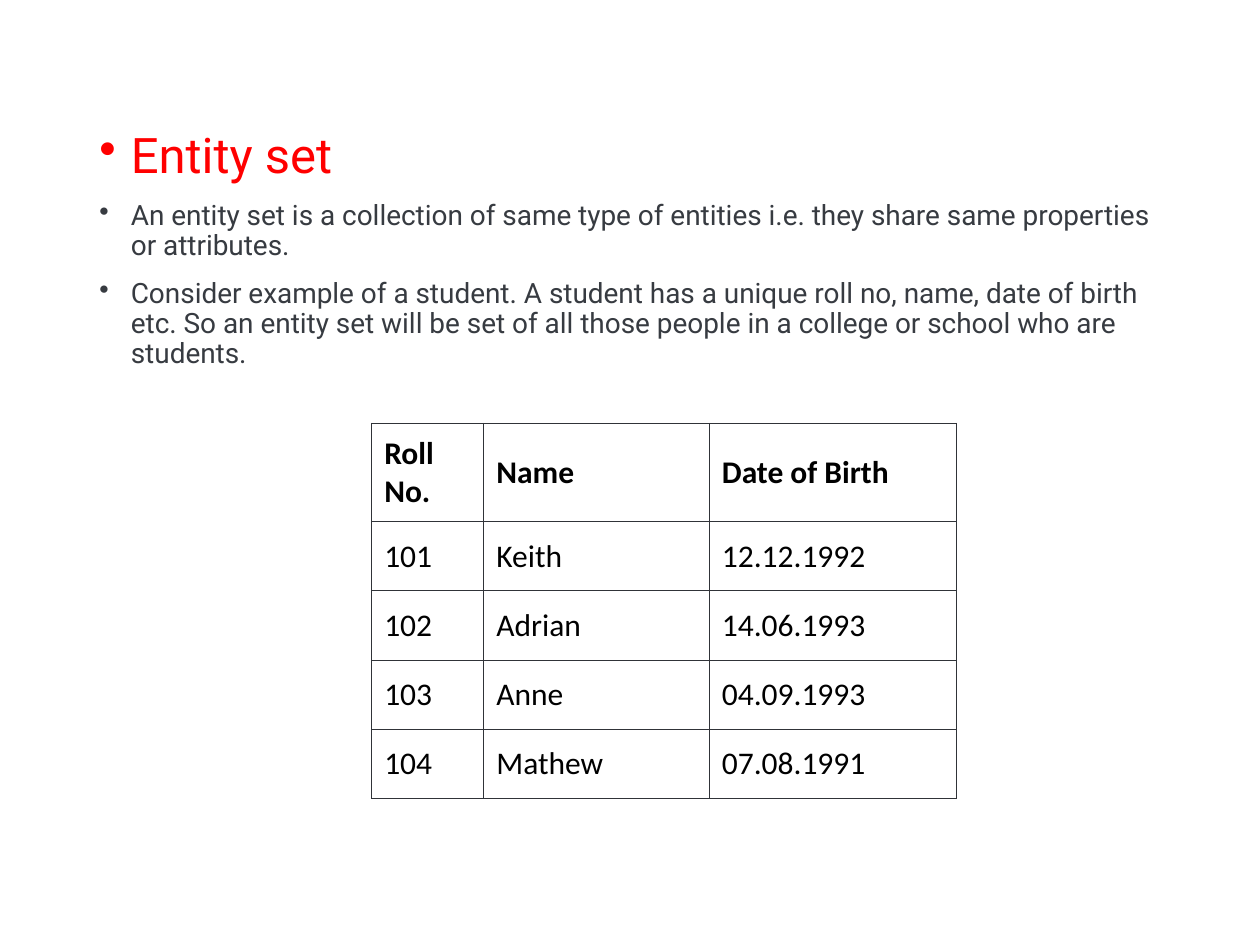
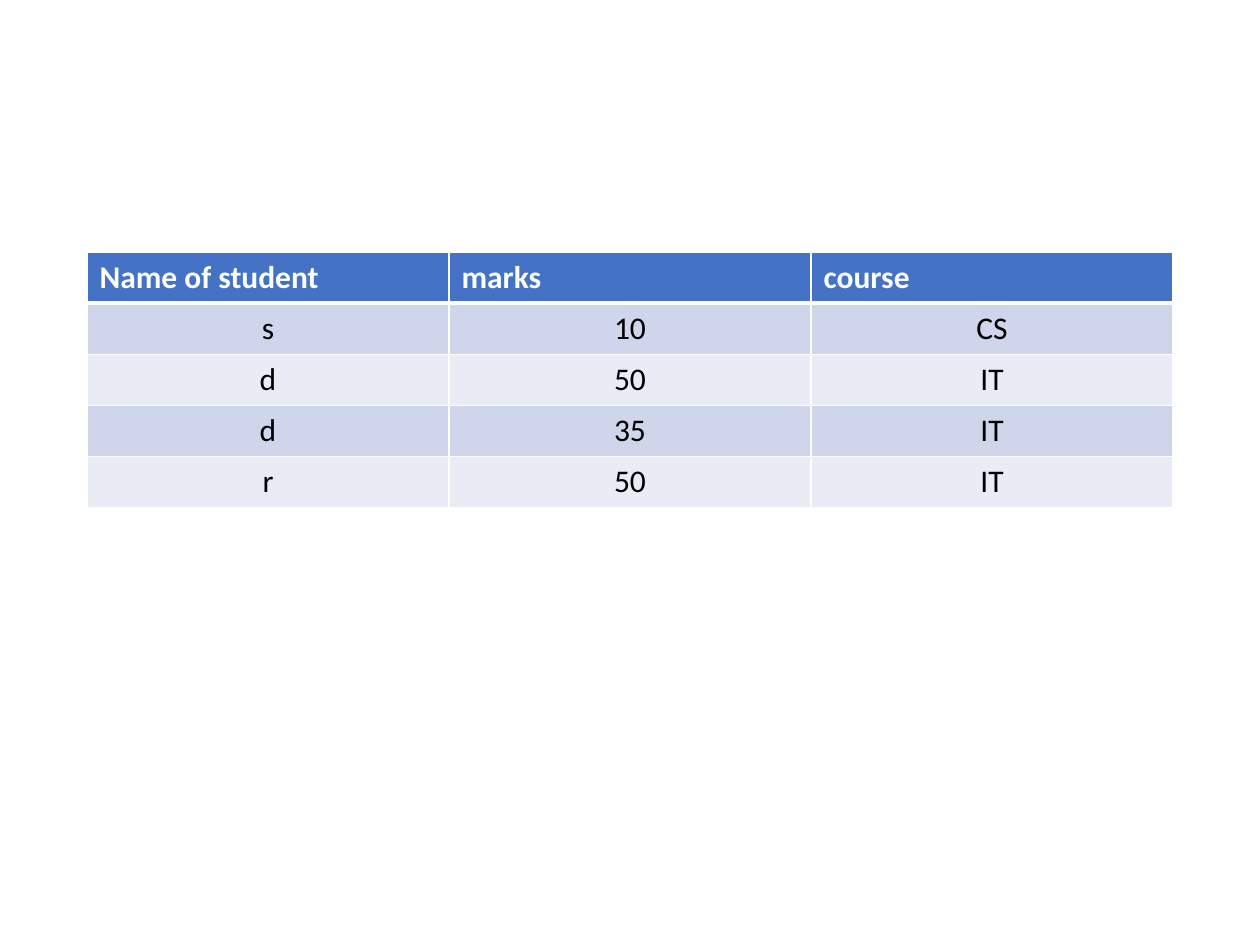
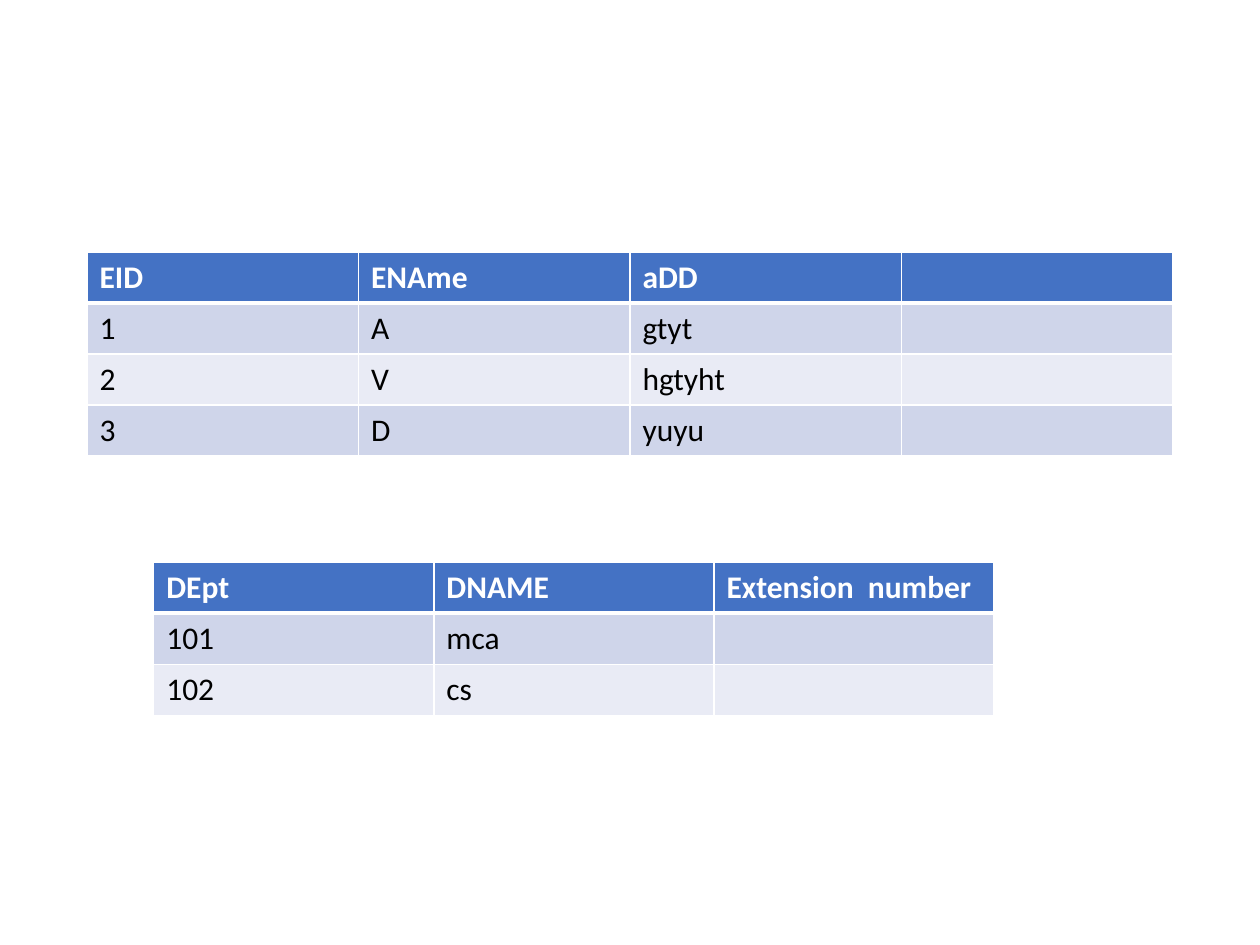
from dataclasses import dataclass

from lxml import etree
from pptx import Presentation
from pptx.dml.color import RGBColor
from pptx.enum import text
from pptx.oxml import ns
from pptx.util import Inches, Pt


@dataclass(frozen=True)
class Theme:
    heading: str = "FF0000"
    body: str = "373B41"
    ink: str = "000000"
    white: str = "FFFFFF"
    header: str = "4472C4"
    bands: tuple = ("CFD5EA", "E9EBF5")
    grid: str = "303338"
    body_font: str = "Roboto"
    table_font: str = "Calibri"
    heading_size: int = 28
    body_size: int = 16
    table_size: int = 18
    grid_width: float = 0.6
    rule_width: float = 1
    header_rule: float = 3


THEME = Theme()


@dataclass(frozen=True)
class TableStyle:
    line: str
    line_width: float
    header_rule: float
    header_ink: str
    header_fill: str | None = None
    bands: tuple = (None,)
    anchor: text.MSO_ANCHOR = text.MSO_ANCHOR.TOP
    align: text.PP_ALIGN = text.PP_ALIGN.LEFT


BANDED = dict(line=THEME.white, line_width=THEME.rule_width, header_rule=THEME.header_rule,
              header_ink=THEME.white, header_fill=THEME.header, bands=THEME.bands)
BANDED_LEFT = TableStyle(**BANDED)
BANDED_CENTER = TableStyle(**BANDED, align=text.PP_ALIGN.CENTER)
GRID = TableStyle(THEME.grid, THEME.grid_width, THEME.grid_width, THEME.ink,
                  anchor=text.MSO_ANCHOR.MIDDLE)


def add_span(para, words, color, **formats):
    span = para.add_run()
    span.text = words
    span.font.color.rgb = RGBColor.from_string(color)
    for name, value in formats.items():
        setattr(span.font, name, value)


def add_bullet(para, indent):
    props = para._p.get_or_add_pPr()
    props.set("marL", str(indent))
    props.set("indent", str(-indent))
    etree.SubElement(props, ns.qn("a:buChar"), char="•")


def add_bullets(page, box, heading, points):
    frame = page.shapes.add_textbox(*map(Inches, box)).text_frame
    frame.word_wrap = True
    lines = [(heading, THEME.heading, THEME.heading_size)]
    lines += [(point, THEME.body, THEME.body_size) for point in points]
    for index, (words, color, size) in enumerate(lines):
        para = frame.add_paragraph() if index else frame.paragraphs[0]
        add_bullet(para, Inches(0.25))
        para.line_spacing = 0.9
        para.space_before = Pt(10 if index else 0)
        add_span(para, words, color, name=THEME.body_font, size=Pt(size))


def set_borders(cell, color, widths):
    props = cell._tc.get_or_add_tcPr()
    for side, width in widths.items():
        line = etree.SubElement(props, ns.qn(f"a:ln{side}"), w=str(Pt(width)))
        fill = etree.SubElement(line, ns.qn("a:solidFill"))
        etree.SubElement(fill, ns.qn("a:srgbClr"), val=color)


def fill_cell(cell, words, row, style):
    is_header = row == 0
    widths = dict.fromkeys("LRTB", style.line_width)
    if row < 2:
        widths["B" if is_header else "T"] = style.header_rule
    set_borders(cell, style.line, widths)
    color = style.header_fill if is_header else style.bands[(row - 1) % len(style.bands)]
    if color:
        cell.fill.solid()
        cell.fill.fore_color.rgb = RGBColor.from_string(color)
    else:
        cell.fill.background()
    cell.vertical_anchor = style.anchor
    para = cell.text_frame.paragraphs[0]
    para.alignment = text.PP_ALIGN.LEFT if is_header else style.align
    if words:
        add_span(para, words, style.header_ink if is_header else THEME.ink,
                 name=THEME.table_font, size=Pt(THEME.table_size), bold=is_header)


def add_grid(page, box, rows, style, widths=None, heights=None):
    left, top, width, height = box
    widths = widths or [width / len(rows[0])] * len(rows[0])
    heights = heights or [height / len(rows)] * len(rows)
    table = page.shapes.add_table(len(rows), len(widths), *map(Inches, box)).table
    table.first_row = table.horz_banding = False
    for column, size in zip(table.columns, widths):
        column.width = Inches(size)
    for line, size in zip(table.rows, heights):
        line.height = Inches(size)
    for row, values in enumerate(rows):
        for column, words in enumerate(values):
            fill_cell(table.cell(row, column), words, row, style)


def build_entity_set(page):
    add_bullets(page, (0.69, 0.99, 8.62, 5.76), "Entity set", [
        "An entity set is a collection of same type of entities i.e. they share same "
        "properties or attributes.",
        "Consider example of a student. A student has a unique roll no, name, date of birth "
        "etc. So an entity set will be set of all those people in a college or school who "
        "are students.",
    ])
    students = [
        ("Roll No.", "Name", "Date of Birth"),
        ("101", "Keith", "12.12.1992"),
        ("102", "Adrian", "14.06.1993"),
        ("103", "Anne", "04.09.1993"),
        ("104", "Mathew", "07.08.1991"),
    ]
    add_grid(page, (2.95, 3.36, 4.65, 2.98), students, GRID,
             widths=[0.89, 1.79, 1.96], heights=[0.78] + [0.55] * 4)


def build_marks(page):
    marks = [
        ("Name of student", "marks", "course"),
        ("s", "10", "CS"),
        ("d", "50", "IT"),
        ("d", "35", "IT"),
        ("r", "50", "IT"),
    ]
    add_grid(page, (0.69, 2, 8.62, 2.03), marks, BANDED_CENTER)


def build_departments(page):
    employees = [
        ("EID", "ENAme", "aDD", ""),
        ("1", "A", "gtyt", ""),
        ("2", "V", "hgtyht", ""),
        ("3", "D", "yuyu", ""),
    ]
    departments = [
        ("DEpt", "DNAME", "Extension  number"),
        ("101", "mca", ""),
        ("102", "cs", ""),
    ]
    add_grid(page, (0.69, 2, 8.62, 1.62), employees, BANDED_LEFT)
    add_grid(page, (1.22, 4.46, 6.67, 1.22), departments, BANDED_LEFT)


def main():
    deck = Presentation()
    deck.slide_width, deck.slide_height = Inches(10), Inches(7.5)
    for build in (build_entity_set, build_marks, build_departments):
        build(deck.slides.add_slide(deck.slide_layouts[6]))
    deck.save("out.pptx")


if __name__ == "__main__":
    main()
